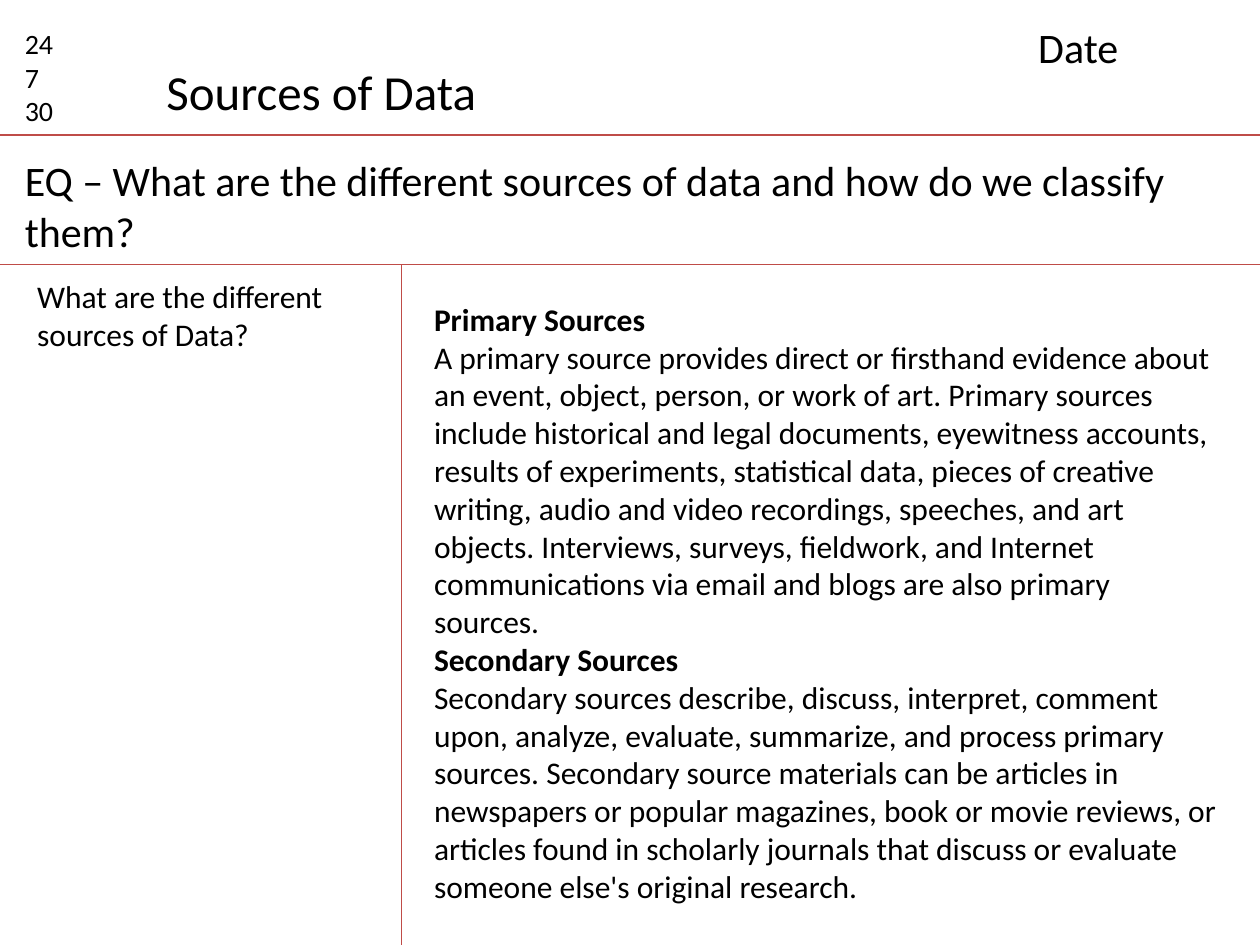
from pptx import Presentation
from pptx.dml.color import RGBColor
from pptx.enum.shapes import MSO_CONNECTOR
from pptx.enum.text import MSO_ANCHOR, PP_ALIGN
from pptx.oxml.ns import qn
from pptx.util import Cm, Pt
from lxml import etree

STRAIGHT = MSO_CONNECTOR.STRAIGHT
TOP = MSO_ANCHOR.TOP
LEFT = PP_ALIGN.LEFT
BLACK = RGBColor(0x00, 0x00, 0x00)
RED = RGBColor(0xBF, 0x4C, 0x48)
WIDTH, HEIGHT = 25.4, 19.05
HEADER_Y, QUESTION_Y, MARGIN_X = 2.72, 5.33, 8.1


def write(sp, lines, size, wrap=True, bold_lines=()):
    tf = sp.text_frame
    tf.word_wrap = wrap
    tf.vertical_anchor = TOP
    for i, line in enumerate(lines):
        p = tf.paragraphs[0] if i == 0 else tf.add_paragraph()
        p.text = line
        p.alignment = LEFT
        p.font.name = "Calibri"
        p.font.size = Pt(size)
        p.font.bold = i in bold_lines
        p.font.color.rgb = BLACK


prs = Presentation()
prs.slide_width, prs.slide_height = Cm(WIDTH), Cm(HEIGHT)
s = prs.slides.add_slide(prs.slide_layouts[5])

title = s.shapes.title
title.left, title.top, title.width, title.height = Cm(3.1), Cm(1.12), Cm(6.83), Cm(1.45)
write(title, ["Sources of Data"], 28, wrap=False)

rules = [
    (0, HEADER_Y, WIDTH, HEADER_Y),
    (0, QUESTION_Y, WIDTH, QUESTION_Y),
    (MARGIN_X, QUESTION_Y, MARGIN_X, HEIGHT),
]
for ends in rules:
    line = s.shapes.add_connector(STRAIGHT, *[Cm(v) for v in ends])
    line.line.color.rgb = RED
    line.line.width = Pt(0.75)
    etree.SubElement(line._element.spPr, qn("a:effectLst"))

sources = [
    "Primary Sources",
    "A primary source provides direct or firsthand evidence about an event, object, "
    "person, or work of art. Primary sources include historical and legal documents, "
    "eyewitness accounts, results of experiments, statistical data, pieces of creative "
    "writing, audio and video recordings, speeches, and art objects. Interviews, surveys, "
    "fieldwork, and Internet communications via email and blogs are also primary sources.",
    "Secondary Sources",
    "Secondary sources describe, discuss, interpret, comment upon, analyze, evaluate, "
    "summarize, and process primary sources. Secondary source materials can be articles in "
    "newspapers or popular magazines, book or movie reviews, or articles found in scholarly "
    "journals that discuss or evaluate someone else's original research.",
]
question = "EQ – What are the different sources of data and how do we classify them?"
cue = ["What are the different", "sources of Data?"]

boxes = [
    ((0.25, 0.41, 1.6, 2.31), ["24", "7", "30"], 16, True, ()),
    ((20.68, 0.3, 4.39, 1.27), ["Date"], 24, True, ()),
    ((0.25, 3.0, 23.95, 2.31), [question], 24, True, ()),
    ((0.5, 5.46, 6.5, 1.8), cue, 18, False, ()),
    ((8.5, 5.92, 16.4, 12.57), sources, 18, True, (0, 2)),
]
for box, lines, size, wrap, bold_lines in boxes:
    sp = s.shapes.add_textbox(*[Cm(v) for v in box])
    write(sp, lines, size, wrap, bold_lines)

prs.save("out.pptx")
